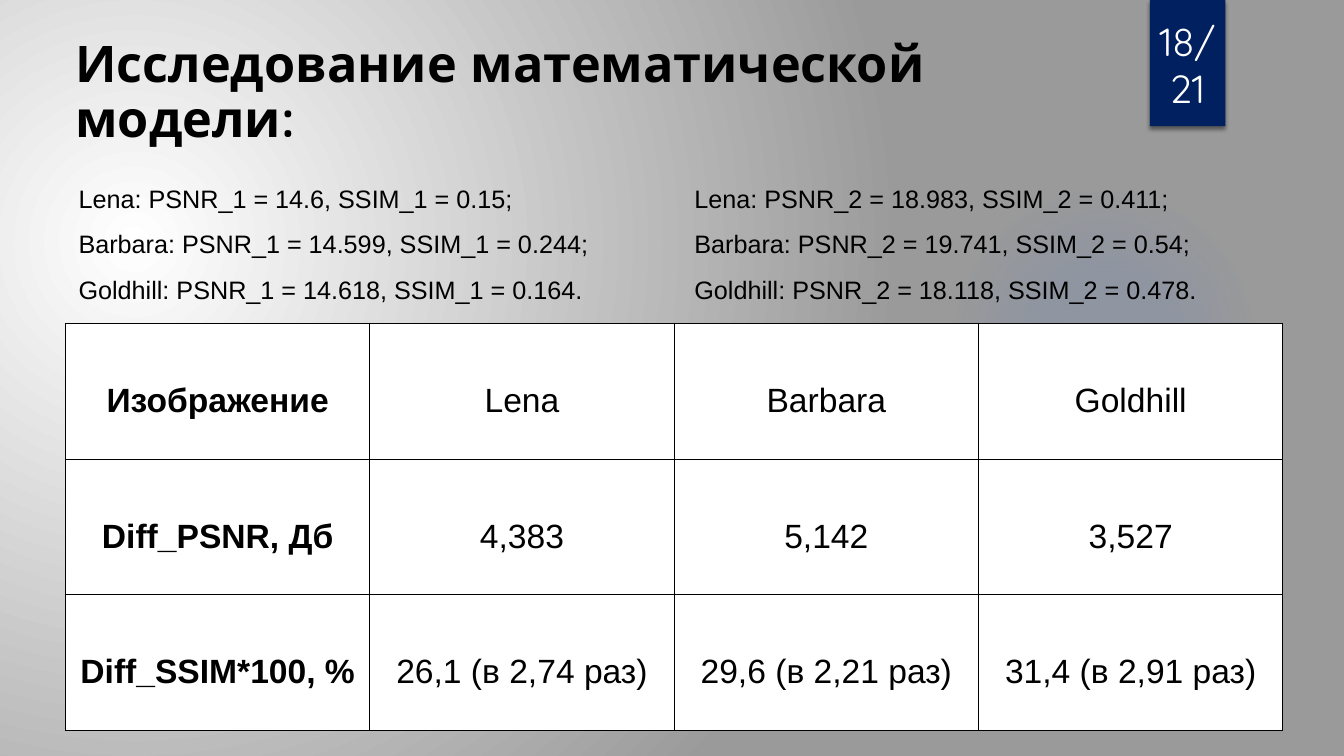
from lxml import etree
from pptx import Presentation, oxml
from pptx import util as u
from pptx.dml.color import RGBColor
from pptx.enum import shapes, text
from pptx.oxml.ns import nsdecls

BLACK = RGBColor(0, 0, 0)
WHITE = RGBColor(255, 255, 255)
NAVY = RGBColor(0x00, 0x20, 0x60)
LEFT, MID = text.PP_ALIGN.LEFT, text.PP_ALIGN.CENTER


def radial(stops, rect):
    """Return a circular gradient fill: stops are (place %, colour, opacity %)."""
    marks = "".join(
        f'<a:gs pos="{place * 1000}"><a:srgbClr val="{tone}">'
        f'<a:alpha val="{alpha * 1000}"/></a:srgbClr></a:gs>'
        for place, tone, alpha in stops)
    sides = " ".join(f'{side}="{val * 1000}"' for side, val in zip("ltrb", rect))
    return oxml.parse_xml(
        f'<a:gradFill {nsdecls("a")} rotWithShape="1"><a:gsLst>{marks}</a:gsLst>'
        f'<a:path path="circle"><a:fillToRect {sides}/></a:path></a:gradFill>')


def write(frame, lines, align, space, **style):
    """Fill a text frame, one paragraph a line; style holds font values."""
    frame.word_wrap = True
    tone = style.pop("tone")
    for i, line in enumerate(lines):
        para = frame.add_paragraph() if i else frame.paragraphs[0]
        para.alignment, para.line_spacing = align, space
        run = para.add_run()
        run.text = line
        run.font.color.rgb = tone
        for key, val in style.items():
            setattr(run.font, key, val)


deck = Presentation()
deck.slide_width, deck.slide_height = u.Cm(33.87), u.Cm(19.05)
slide = deck.slides.add_slide(deck.slide_layouts[6])
items = slide.shapes

# Background and glow
back = slide.background.fill
back.gradient()
grad = slide.element.find(".//{*}bgPr/{*}gradFill")
grad.getparent().replace(
    grad, radial([(0, "FFFFFF", 100), (100, "9A9A9A", 100)], (45, 65, 125, 100)))

glow = items.add_shape(shapes.MSO_SHAPE.OVAL, u.Cm(23.9), u.Cm(4.65), u.Cm(7.82), u.Cm(7.82))
glow.shadow.inherit = False
glow.line.fill.background()
glow.fill.gradient()
grad = glow.element.spPr.find("{*}gradFill")
grad.getparent().replace(
    grad, radial([(0, "0759FF", 7), (36, "0759FF", 6), (69, "0759FF", 0)], (50,) * 4))

# Page flag
flag = items.add_shape(shapes.MSO_SHAPE.RECTANGLE, u.Cm(28.98), 0, u.Cm(1.9), u.Cm(3.18))
flag.shadow.inherit = False
flag.fill.solid()
flag.fill.fore_color.rgb = NAVY
flag.line.fill.background()
flag.element.spPr.find("{*}effectLst").append(oxml.parse_xml(
    f'<a:outerShdw {nsdecls("a")} blurRad="{u.Pt(3)}" dist="{u.Pt(2)}" dir="5400000" '
    'rotWithShape="0"><a:srgbClr val="000000"><a:alpha val="45000"/></a:srgbClr></a:outerShdw>'))

# Title, results and page number
title = items.add_textbox(u.Cm(1.65), u.Cm(0.86), u.Cm(26.04), u.Cm(3.2))
write(title.text_frame, ["Исследование математической модели:"], LEFT, 0.9,
      name="Quicksand", size=u.Pt(36), bold=True, tone=BLACK)

results = [
    (1.73, 14.76, ["Lena: PSNR_1 = 14.6, SSIM_1 = 0.15;",
                   "Barbara: PSNR_1 = 14.599, SSIM_1 = 0.244;",
                   "Goldhill: PSNR_1 = 14.618, SSIM_1 = 0.164."]),
    (17.25, 13.82, ["Lena: PSNR_2 = 18.983, SSIM_2 = 0.411;",
                    "Barbara: PSNR_2 = 19.741, SSIM_2 = 0.54;",
                    "Goldhill: PSNR_2 = 18.118, SSIM_2 = 0.478."]),
]
for left, width, lines in results:
    box = items.add_textbox(u.Cm(left), u.Cm(4.11), u.Cm(width), u.Cm(3.58))
    write(box.text_frame, lines, LEFT, 1.5, name="Arial", size=u.Pt(18), tone=BLACK)

# Table of gains
rows = [
    ["Изображение", "Lena", "Barbara", "Goldhill"],
    ["Diff_PSNR, Дб", "4,383", "5,142", "3,527"],
    ["Diff_SSIM*100, %", "26,1 (в 2,74 раз)", "29,6 (в 2,21 раз)", "31,4 (в 2,91 раз)"],
]
table = items.add_table(3, 4, u.Cm(1.65), u.Cm(8.15), u.Cm(30.68), u.Cm(10.26)).table
for r, row in enumerate(rows):
    for c, word in enumerate(row):
        cell = table.cell(r, c)
        cell.margin_left = cell.margin_right = u.Cm(0.18)
        cell.margin_top = cell.margin_bottom = 0
        cell.vertical_anchor = text.MSO_ANCHOR.MIDDLE
        write(cell.text_frame, [word], MID, 1.5,
              name="Arial", size=u.Pt(24), bold=c == 0, tone=BLACK)
        props = cell._tc.get_or_add_tcPr()
        for side in ("lnL", "lnR", "lnT", "lnB"):
            props.append(oxml.parse_xml(
                f'<a:{side} {nsdecls("a")} w="{u.Pt(1)}"><a:solidFill>'
                f'<a:srgbClr val="{BLACK}"/></a:solidFill></a:{side}>'))
        cell.fill.solid()
        cell.fill.fore_color.rgb = WHITE

page = items.add_textbox(u.Cm(28.75), u.Cm(0.81), u.Cm(2.34), u.Cm(2.13))
page.text_frame.vertical_anchor = text.MSO_ANCHOR.BOTTOM
write(page.text_frame, ["18/21"], MID, 1.0, name="Quicksand", size=u.Pt(28), tone=WHITE)

deck.save("out.pptx")
